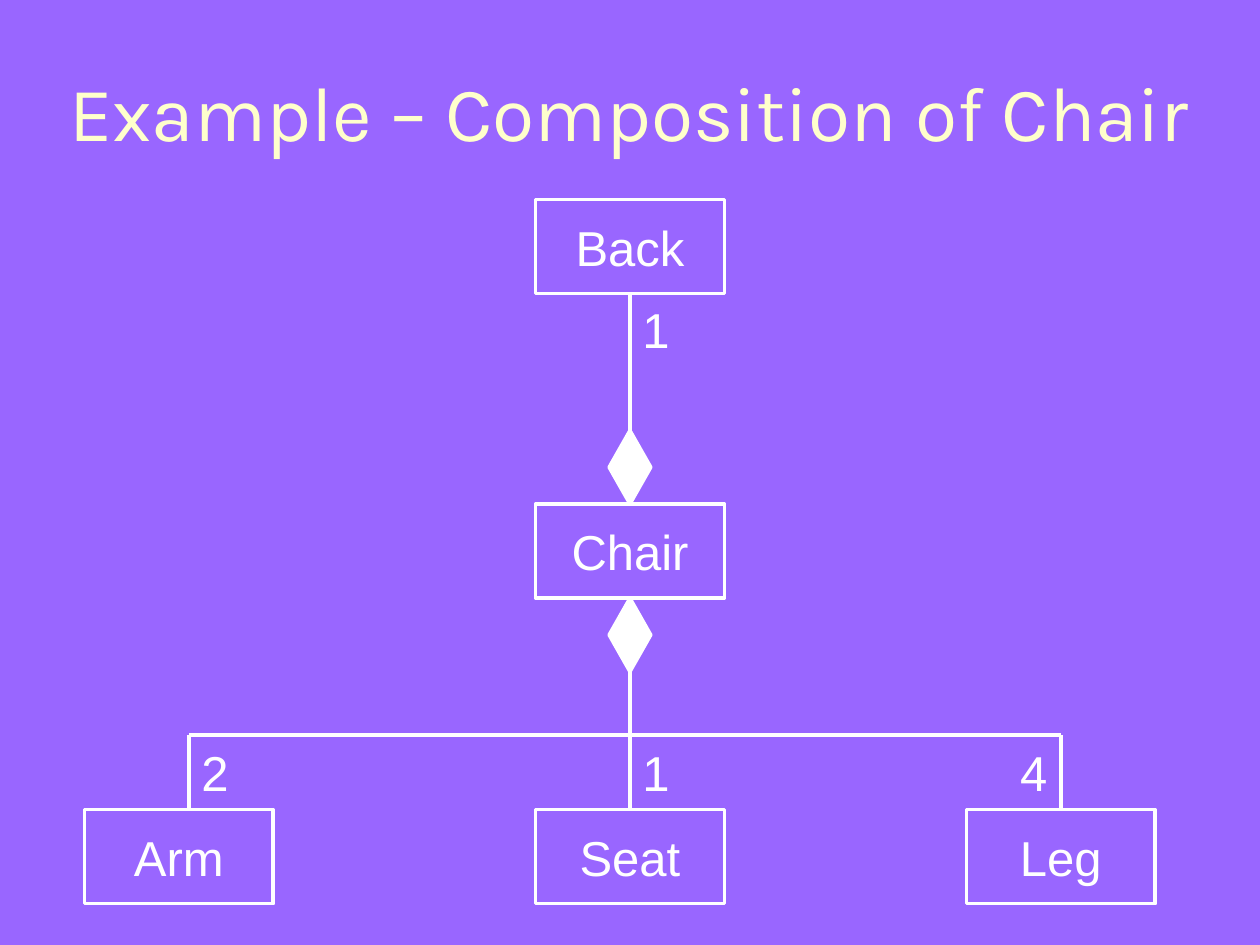
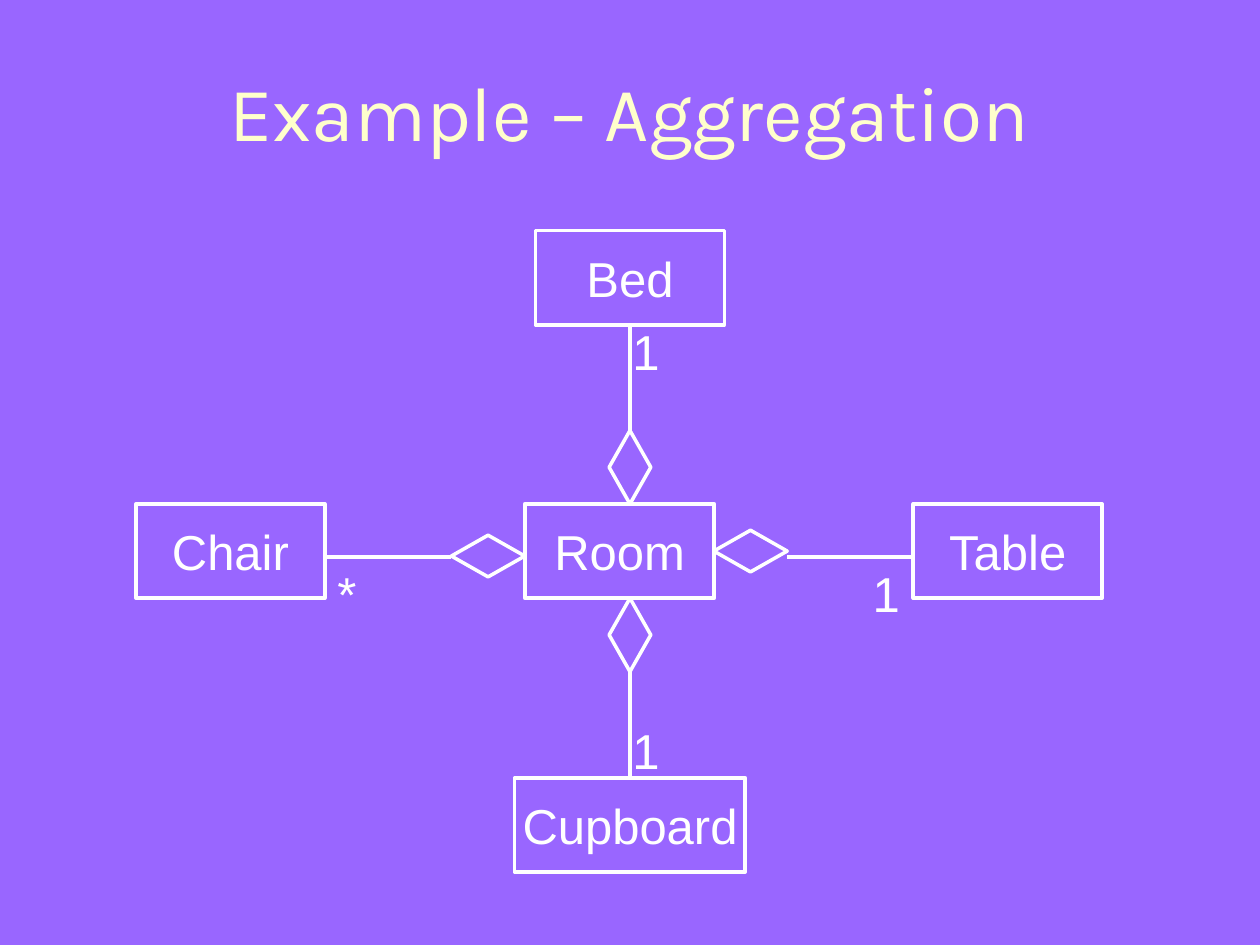
from pptx import Presentation
from pptx import util as u
from pptx.dml.color import RGBColor
from pptx.enum import shapes, text
from pptx.oxml.ns import qn
from lxml import etree

COLORS = {"back": "9966FF", "title": "FFFFCC", "ink": "FFFFFF"}
TITLE = {"name": "Karla", "size": u.Pt(44)}
BODY = {"name": "Arial", "size": u.Pt(28)}
SLIDE_W, SLIDE_H = 25.4, 19.05
BOX_W, BOX_H = 3.81, 1.9
DIAMOND_W, DIAMOND_L = 0.84, 1.48
LABEL_W, LABEL_H = 1.07, 1.45


def rgb(key):
    return RGBColor.from_string(COLORS[key])


def write(sp, words, fmt, color, **frame):
    tf = sp.text_frame
    for key, value in frame.items():
        setattr(tf, key, value)
    p = tf.paragraphs[0]
    r = p.add_run()
    r.text = words
    for key, value in fmt.items():
        setattr(r.font, key, value)
    r.font.color.rgb = rgb(color)
    return p


def ink_line(sp, width=2):
    sp.line.color.rgb = rgb("ink")
    sp.line.width = u.Pt(width)


def outline(s, kind, cx, cy, w, h, filled=False, line=2):
    """Add a preset shape around a centre point."""
    sp = s.shapes.add_shape(kind, *map(u.Cm, (cx - w / 2, cy - h / 2, w, h)))
    sp.shadow.inherit = False
    if filled:
        sp.fill.solid()
        sp.fill.fore_color.rgb = rgb("ink")
    else:
        sp.fill.background()
    ink_line(sp, line)
    return sp


def class_box(s, name, cx, top, w=BOX_W, line=2):
    sp = outline(s, shapes.MSO_SHAPE.RECTANGLE, cx, top + BOX_H / 2, w, BOX_H, line=line)
    p = write(sp, name, BODY, "ink", word_wrap=False,
              vertical_anchor=text.MSO_ANCHOR.MIDDLE)
    p.alignment = text.PP_ALIGN.CENTER


def diamond(s, cx, cy, upright=True, filled=False):
    w, h = (DIAMOND_W, DIAMOND_L) if upright else (DIAMOND_L, DIAMOND_W)
    outline(s, shapes.MSO_SHAPE.DIAMOND, cx, cy, w, h, filled)


def link(s, x1, y1, x2, y2):
    c = s.shapes.add_connector(shapes.MSO_CONNECTOR.STRAIGHT,
                               *map(u.Cm, (x1, y1, x2, y2)))
    ink_line(c)
    etree.SubElement(c._element.spPr, qn("a:effectLst"))


def count(s, mark, left, top):
    """Add the multiplicity at one end of a link."""
    sp = s.shapes.add_textbox(*map(u.Cm, (left, top, LABEL_W, LABEL_H)))
    write(sp, mark, BODY, "ink", word_wrap=True)


def titled_slide(prs, title):
    s = prs.slides.add_slide(prs.slide_layouts[6])
    s.background.fill.solid()
    s.background.fill.fore_color.rgb = rgb("back")
    sp = s.shapes.add_textbox(*map(u.Cm, (0.84, 0.64, SLIDE_W - 1.68, 3.17)))
    p = write(sp, title, TITLE, "title", word_wrap=True,
              vertical_anchor=text.MSO_ANCHOR.MIDDLE)
    p.alignment = text.PP_ALIGN.CENTER
    return s


def composition(s, x, y, w, h):
    """Whole in the middle, one part above, three parts on a rail below."""
    mid, whole, parts = x + 11, y + 6.14, y + h - BOX_H
    rail = parts - 1.5
    left, right = x + 2.11, x + w - BOX_W / 2

    class_box(s, "Back", mid, y)
    class_box(s, "Chair", mid, whole)
    link(s, mid, y + BOX_H, mid, whole - DIAMOND_L)
    link(s, mid, whole + BOX_H + DIAMOND_L, mid, rail)
    for cy in (whole - DIAMOND_L / 2, whole + BOX_H + DIAMOND_L / 2):
        diamond(s, mid, cy, filled=True)
    count(s, "1", mid, y + BOX_H)

    link(s, left, rail, right, rail)
    for name, mark, cx, drop, label in (
            ("Arm", "2", x + BOX_W / 2, left, left),
            ("Seat", "1", mid, mid, mid),
            ("Leg", "4", right, right, right - LABEL_W)):
        class_box(s, name, cx, parts)
        link(s, drop, rail, drop, parts)
        count(s, mark, label, rail + 0.03)


def aggregation(s, x, y, w, h):
    """Whole in the middle with a part on each side."""
    mid, row, low = x + 9.96, y + 5.51, y + h - BOX_H
    room, axis = mid - 0.21, row + 1.07
    chair_end, table_start = x + BOX_W, x + w - BOX_W

    class_box(s, "Room", room, row, line=2.5)
    class_box(s, "Bed", mid, y)
    class_box(s, "Cupboard", mid, low, 4.65)
    class_box(s, "Chair", x + BOX_W / 2, row)
    class_box(s, "Table", x + w - BOX_W / 2, row)

    link(s, mid, y + BOX_H, mid, row - DIAMOND_L)
    link(s, mid, row + BOX_H + DIAMOND_L, mid, low)
    link(s, chair_end, axis, chair_end + 2.54, axis)
    link(s, table_start - 2.54, axis, table_start, axis)

    for cy in (row - DIAMOND_L / 2, row + BOX_H + DIAMOND_L / 2):
        diamond(s, mid, cy)
    diamond(s, room - 2.65, axis - 0.02, upright=False)
    diamond(s, room + 2.64, axis - 0.12, upright=False)

    for mark, left, top in (("1", mid - 0.2, y + 1.7),
                            ("1", mid - 0.2, low - 1.27),
                            ("*", chair_end, axis),
                            ("1", table_start - LABEL_W, axis)):
        count(s, mark, left, top)


def main():
    prs = Presentation()
    prs.slide_width, prs.slide_height = u.Cm(SLIDE_W), u.Cm(SLIDE_H)
    composition(titled_slide(prs, "Example – Composition of Chair"),
                1.7, 4.02, 21.59, 14.2)
    aggregation(titled_slide(prs, "Example – Aggregation"),
                2.74, 4.65, 19.48, 12.93)
    prs.save("out.pptx")


if __name__ == "__main__":
    main()
